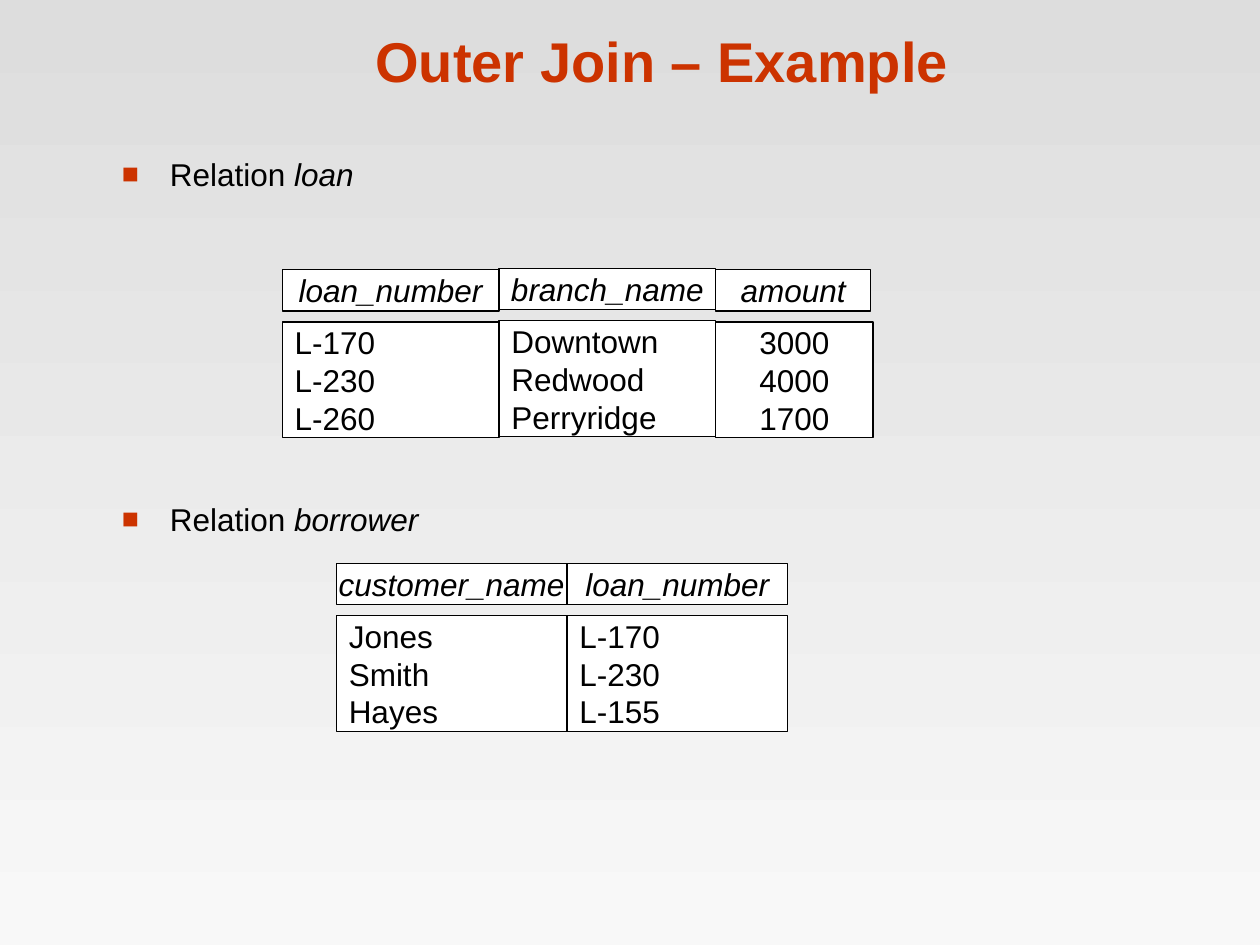
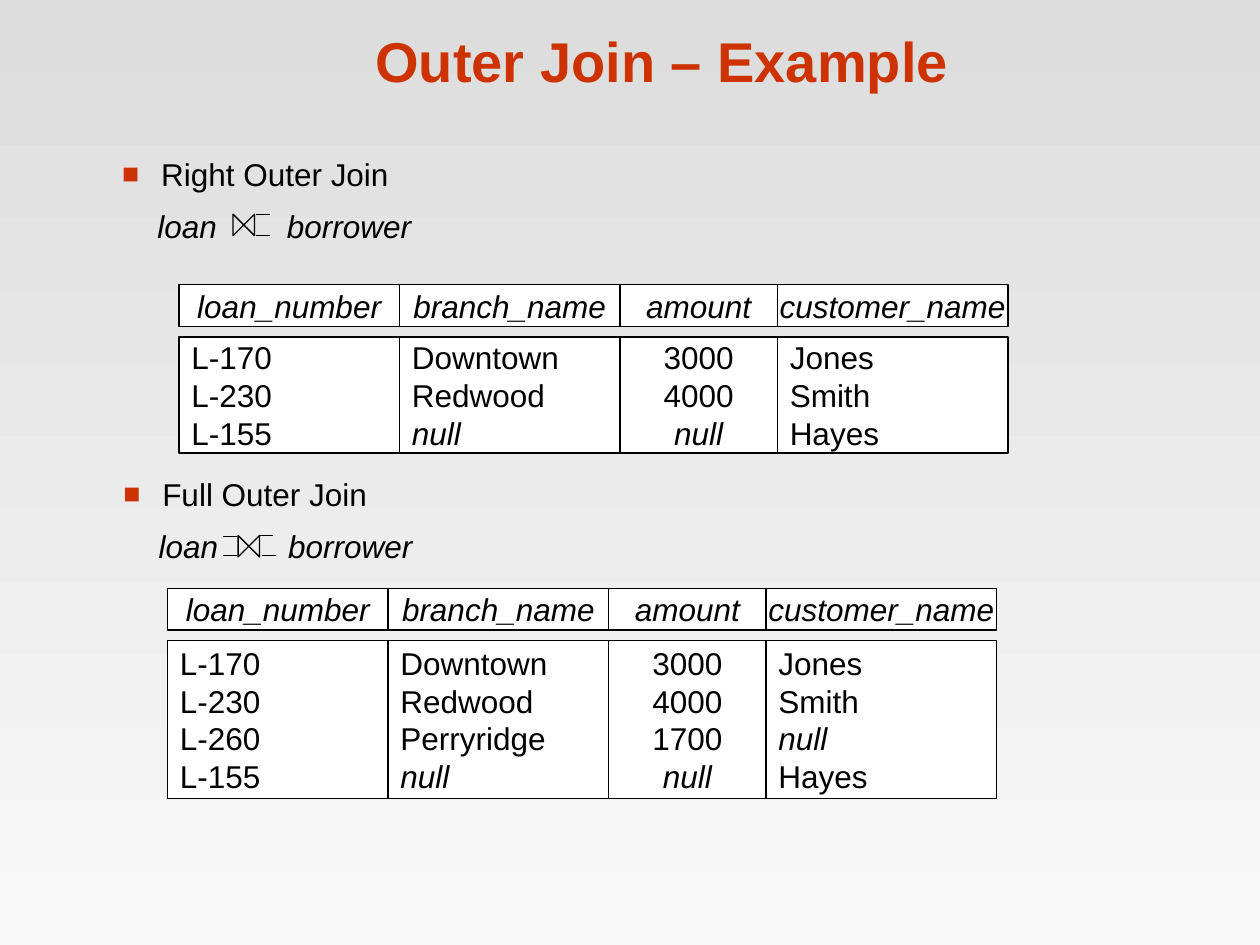
"""Build two slides that show outer joins of loan and borrower."""
from dataclasses import dataclass
from typing import Any

from lxml import etree
from pptx import Presentation
from pptx.dml.color import RGBColor
from pptx.enum.shapes import MSO_CONNECTOR, MSO_SHAPE
from pptx.enum.text import MSO_ANCHOR, PP_ALIGN
from pptx.oxml.ns import qn
from pptx.util import Inches, Pt

STRAIGHT = MSO_CONNECTOR.STRAIGHT
RECTANGLE, COLLATE = MSO_SHAPE.RECTANGLE, MSO_SHAPE.FLOWCHART_COLLATE
LEFT, CENTER = PP_ALIGN.LEFT, PP_ALIGN.CENTER
TOP, MIDDLE, BOTTOM = MSO_ANCHOR.TOP, MSO_ANCHOR.MIDDLE, MSO_ANCHOR.BOTTOM


@dataclass(frozen=True)
class Theme:
    """Colours, type sizes and spacing shared by the slides."""
    font: str = "Arial"
    accent: RGBColor = RGBColor(0xCC, 0x33, 0x00)
    ink: RGBColor = RGBColor(0, 0, 0)
    paper: RGBColor = RGBColor(0xFF, 0xFF, 0xFF)
    sky: RGBColor = RGBColor(0xDD, 0xDD, 0xDD)
    ground: RGBColor = RGBColor(0xF8, 0xF8, 0xF8)
    title_size: Pt = Pt(32)
    body_size: Pt = Pt(18)
    line_width: Pt = Pt(0.75)
    space_before: Pt = Pt(7.9)


THEME = Theme()


@dataclass(frozen=True)
class Run:
    """A piece of text in one style, with letter spacing in points."""
    text: str
    italic: bool = False
    spacing: int = 0


@dataclass(frozen=True)
class Column:
    """One attribute of a relation, with its values from top to bottom."""
    name: str
    width: float
    values: str
    align: PP_ALIGN = LEFT
    rise: float = 0
    header_trim: float = 0


@dataclass(frozen=True)
class Relation:
    """A relation drawn as a header row above a row of value boxes."""
    left: float
    top: float
    body_height: float
    columns: tuple[Column, ...]


@dataclass(frozen=True)
class Join:
    """A named join with its symbol and the left ends of the symbol's bars."""
    name: str
    left: float
    top: float
    symbol: tuple[float, float]
    bars: tuple[tuple[float, float], ...]


HEADER_HEIGHT, BODY_OFFSET = 0.33, 0.415
SYMBOL_SIZE, BAR_LENGTH, SYMBOL_GAP = 0.17, 0.11, 35

LOAN = Relation(2.24, 2.14, 0.92, (
    Column("loan_number", 1.72, "L-170 L-230 L-260"),
    Column("branch_name", 1.72, "Downtown Redwood Perryridge", rise=0.01),
    Column("amount", 1.25, "3000 4000 1700", CENTER, header_trim=0.02),
))
BORROWER = Relation(2.67, 4.47, 0.92, (
    Column("customer_name", 1.83, "Jones Smith Hayes"),
    Column("loan_number", 1.75, "L-170 L-230 L-155"),
))
RIGHT_RESULT = Relation(1.42, 2.26, 0.92, (
    Column("loan_number", 1.75, "L-170 L-230 L-155"),
    Column("branch_name", 1.75, "Downtown Redwood null"),
    Column("amount", 1.25, "3000 4000 null", CENTER),
    Column("customer_name", 1.83, "Jones Smith Hayes"),
))
FULL_RESULT = Relation(1.33, 4.67, 1.25, (
    Column("loan_number", 1.75, "L-170 L-230 L-260 L-155"),
    Column("branch_name", 1.75, "Downtown Redwood Perryridge null"),
    Column("amount", 1.25, "3000 4000 1700 null", CENTER),
    Column("customer_name", 1.83, "Jones Smith null Hayes"),
))
RIGHT_JOIN = Join("Right Outer Join", 0.87, 1.18, (1.85, 1.7),
                  ((2.03, 1.7), (2.03, 1.87)))
FULL_JOIN = Join("Full Outer Join", 0.88, 3.72, (1.89, 4.25),
                 ((1.77, 4.26), (1.77, 4.41), (2.06, 4.25), (2.08, 4.41)))


def apply(target: Any, values: dict[str, Any]) -> None:
    """Set each named attribute of the target."""
    for name, value in values.items():
        setattr(target, name, value)


def add_runs(paragraph: Any, runs: list[Run], **styles: Any) -> None:
    """Add runs to a paragraph in the body style, changed by the given styles."""
    for piece in runs:
        run = paragraph.add_run()
        run.text = piece.text
        apply(run.font, {"name": THEME.font, "size": styles.get("size", THEME.body_size),
                         "bold": styles.get("bold", False), "italic": piece.italic})
        run.font.color.rgb = styles.get("color", THEME.ink)
        if piece.spacing:
            run._r.get_or_add_rPr().set("spc", str(piece.spacing * 100))


def format_frame(shape: Any, anchor: MSO_ANCHOR, wrap: bool = True) -> Any:
    """Set the insets, anchor and wrapping of a shape and return its frame."""
    frame = shape.text_frame
    apply(frame, {"margin_left": Inches(0.1), "margin_right": Inches(0.1),
                  "margin_top": Inches(0.05), "margin_bottom": Inches(0.05),
                  "vertical_anchor": anchor, "word_wrap": wrap})
    return frame


def add_text_box(slide: Any, left: float, top: float, width: float,
                 height: float, anchor: MSO_ANCHOR = TOP) -> Any:
    """Add a text box and return its frame."""
    shape = slide.shapes.add_textbox(Inches(left), Inches(top), Inches(width), Inches(height))
    return format_frame(shape, anchor)


def apply_indent(paragraph: Any, margin: float, first_line: float) -> None:
    """Set the left margin and first line indent of a paragraph."""
    properties = paragraph._p.get_or_add_pPr()
    properties.set("marL", str(Inches(margin)))
    properties.set("indent", str(Inches(first_line)))


def add_bullet(paragraph: Any, indent: float) -> None:
    """Give a paragraph a square bullet and a hanging indent."""
    apply_indent(paragraph, indent, -indent)
    properties = paragraph._p.get_or_add_pPr()
    color = etree.SubElement(properties, qn("a:buClr"))
    etree.SubElement(color, qn("a:srgbClr"), val=str(THEME.accent))
    etree.SubElement(properties, qn("a:buSzPct"), val="90000")
    etree.SubElement(properties, qn("a:buFont"), typeface=THEME.font)
    etree.SubElement(properties, qn("a:buChar"), char="■")


def format_line(shape: Any) -> None:
    """Give a shape or connector the thin dark line."""
    shape.line.color.rgb = THEME.ink
    shape.line.width = THEME.line_width


def add_box(slide: Any, left: float, top: float, width: float, height: float,
            lines: list[Run], align: PP_ALIGN, wrap: bool) -> None:
    """Add a white outlined box with one paragraph for each line."""
    shape = slide.shapes.add_shape(RECTANGLE, Inches(left), Inches(top),
                                   Inches(width), Inches(height))
    shape.shadow.inherit = False
    shape.fill.solid()
    shape.fill.fore_color.rgb = THEME.paper
    format_line(shape)
    frame = format_frame(shape, MIDDLE, wrap)
    for index, line in enumerate(lines):
        paragraph = frame.add_paragraph() if index else frame.paragraphs[0]
        paragraph.alignment = align
        add_runs(paragraph, [line])


def add_relation(slide: Any, relation: Relation) -> None:
    """Draw the columns of a relation side by side."""
    left = relation.left
    for column in relation.columns:
        top = relation.top - column.rise
        add_box(slide, left, top, column.width - column.header_trim, HEADER_HEIGHT,
                [Run(column.name, True)], CENTER, False)
        values = [Run(value, value == "null") for value in column.values.split()]
        add_box(slide, left, top + BODY_OFFSET, column.width, relation.body_height,
                values, column.align, True)
        left += column.width


def add_relation_label(slide: Any, top: float, name: str) -> None:
    """Add a bullet line that names a relation."""
    paragraph = add_text_box(slide, 0.87, top, 7.5, 0.53).paragraphs[0]
    add_bullet(paragraph, 0.38)
    add_runs(paragraph, [Run("Relation "), Run(name, True)])


def add_join(slide: Any, join: Join) -> None:
    """Add the name of a join, its expression and its symbol."""
    frame = add_text_box(slide, join.left, join.top, 4.45, 0.81)
    heading = frame.paragraphs[0]
    add_bullet(heading, 0.31)
    add_runs(heading, [Run(join.name)])
    expression = frame.add_paragraph()
    apply_indent(expression, 0, 0.28)
    expression.space_before = THEME.space_before
    add_runs(expression, [Run("loan", True), Run(" ", True, SYMBOL_GAP),
                          Run("borrower", True)])

    left, top = join.symbol
    bowtie = slide.shapes.add_shape(COLLATE, Inches(left), Inches(top),
                                    Inches(SYMBOL_SIZE), Inches(SYMBOL_SIZE))
    bowtie.shadow.inherit = False
    bowtie.rotation = 270
    bowtie.fill.background()
    format_line(bowtie)
    for start, height in join.bars:
        bar = slide.shapes.add_connector(STRAIGHT, Inches(start), Inches(height),
                                         Inches(start + BAR_LENGTH), Inches(height))
        format_line(bar)
        etree.SubElement(bar._element.spPr, qn("a:effectLst"))


def add_slide(presentation: Any) -> Any:
    """Add a blank slide with the shared gradient and title."""
    slide = presentation.slides.add_slide(presentation.slide_layouts[6])
    fill = slide.background.fill
    fill.gradient()
    fill.gradient_angle = 270
    for stop, color in zip(fill.gradient_stops, (THEME.sky, THEME.ground)):
        stop.color.rgb = color
    paragraph = add_text_box(slide, 0.84, 0.12, 8.83, 0.67, BOTTOM).paragraphs[0]
    paragraph.alignment = CENTER
    add_runs(paragraph, [Run("Outer Join – Example")],
             size=THEME.title_size, color=THEME.accent, bold=True)
    return slide


def main() -> None:
    """Build and save the presentation."""
    presentation = Presentation()
    apply(presentation, {"slide_width": Inches(10), "slide_height": Inches(7.5)})

    relations_slide = add_slide(presentation)
    for top, name, relation in ((1.18, "loan", LOAN), (3.92, "borrower", BORROWER)):
        add_relation_label(relations_slide, top, name)
        add_relation(relations_slide, relation)

    joins_slide = add_slide(presentation)
    for join, result in ((RIGHT_JOIN, RIGHT_RESULT), (FULL_JOIN, FULL_RESULT)):
        add_relation(joins_slide, result)
        add_join(joins_slide, join)

    presentation.save("out.pptx")


if __name__ == "__main__":
    main()
